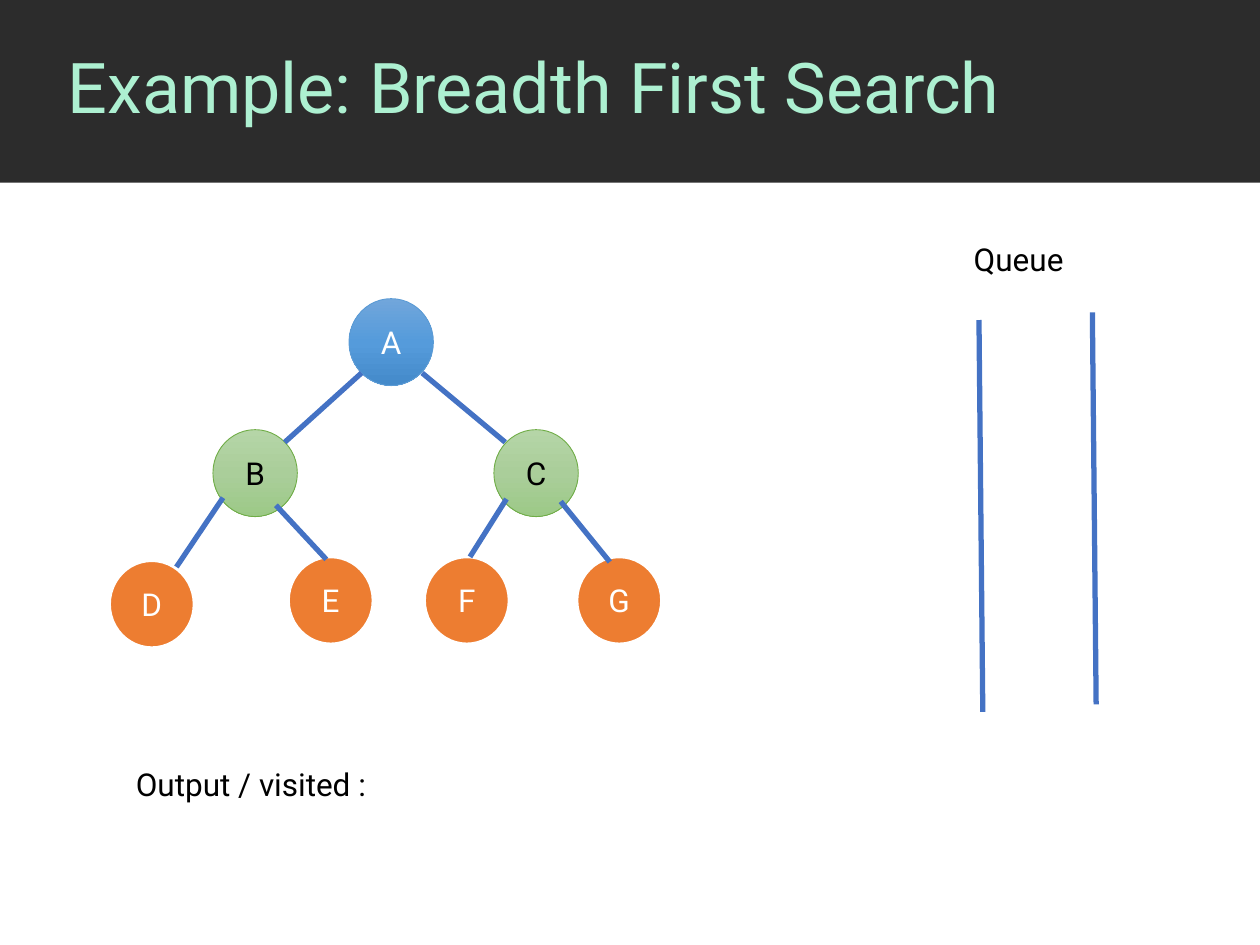
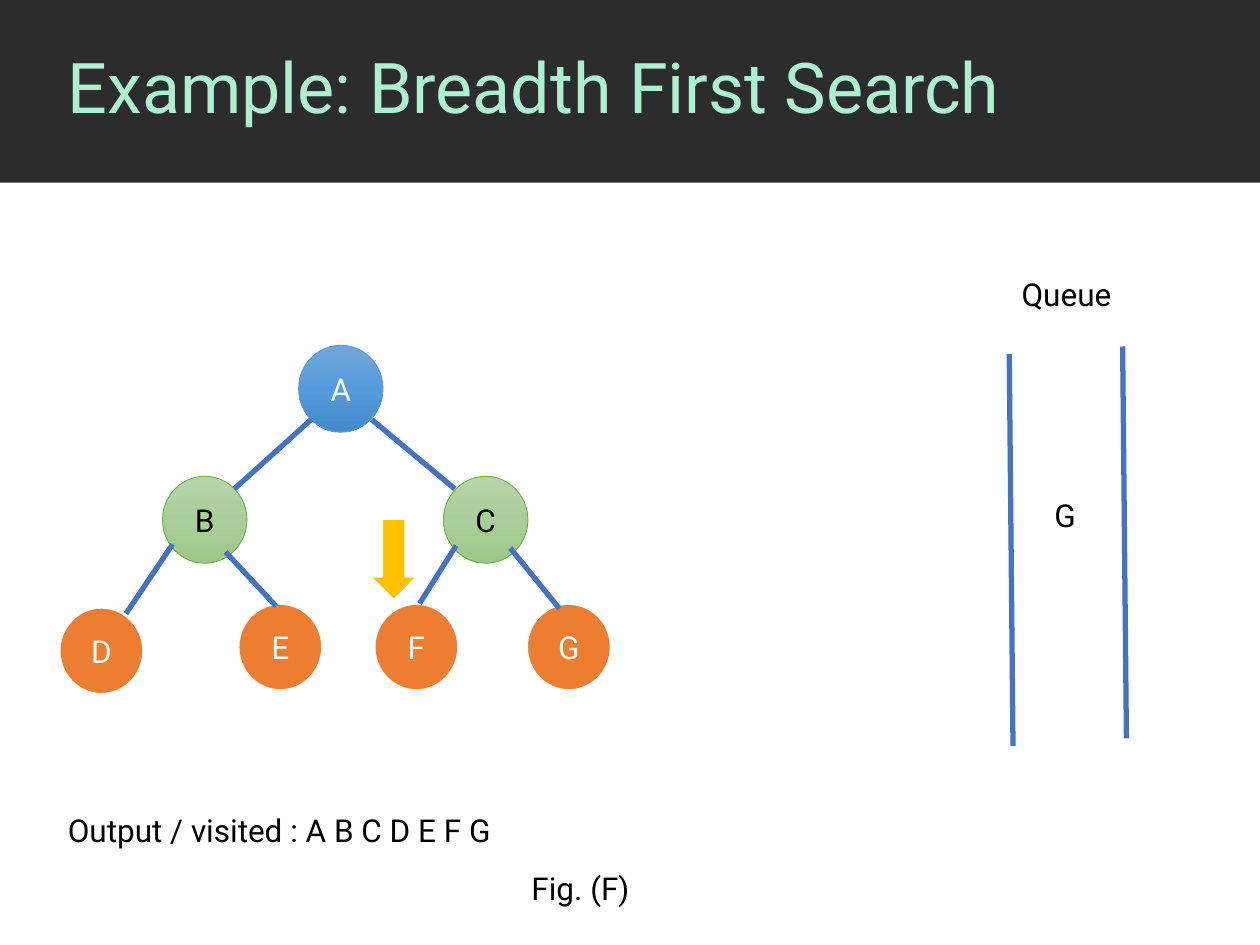
"""Build two slides that walk through a breadth first search."""
from copy import deepcopy

from lxml import etree
from pptx import Presentation
from pptx.dml.color import RGBColor
from pptx.enum.shapes import MSO_CONNECTOR, MSO_SHAPE
from pptx.enum.text import MSO_ANCHOR, PP_ALIGN
from pptx.oxml.ns import qn
from pptx.util import Inches, Pt

RECTANGLE = MSO_SHAPE.RECTANGLE
OVAL = MSO_SHAPE.OVAL
RIGHT_ARROW = MSO_SHAPE.RIGHT_ARROW
STRAIGHT = MSO_CONNECTOR.STRAIGHT
MIDDLE, TOP = MSO_ANCHOR.MIDDLE, MSO_ANCHOR.TOP
LEFT, CENTER = PP_ALIGN.LEFT, PP_ALIGN.CENTER

FONT = "Roboto"
COLORS = {
    "band": "2C2C2C",
    "title": "ADF0D1",
    "black": "000000",
    "white": "FFFFFF",
    "edge": "4472C4",
    "leaf": "ED7D31",
    "pointer": "FFC000",
    "root line": "5B9BD5",
    "inner line": "70AD47",
}
GRADIENTS = {
    "root": ("71A6DB", "559BDB", "448ACA"),
    "inner": ("B5D5A7", "AACE9A", "9CC987"),
}
LEVELS = {
    "root": ("root line", 0.5, "white"),
    "inner": ("inner line", 0.5, "black"),
    "leaf": ("white", 1.5, "white"),
}
NODE_WIDTH, NODE_HEIGHT = 0.67, 0.69
NODES = [
    ("B", "inner", 0.82, 1.04),
    ("A", "root", 1.9, 0),
    ("G", "leaf", 3.71, 2.05),
    ("F", "leaf", 2.5, 2.05),
    ("E", "leaf", 1.42, 2.05),
    ("D", "leaf", 0, 2.08),
    ("C", "inner", 3.05, 1.04),
]
EDGES = [
    (2, 0.59, 1.39, 1.14),
    (3.14, 1.14, 2.48, 0.59),
    (1.72, 2.07, 1.32, 1.64),
    (3.97, 2.09, 3.58, 1.61),
    (3.15, 1.59, 2.86, 2.05),
    (0.9, 1.58, 0.53, 2.13),
]
QUEUE_RAILS = [(0, 0.06, 0.03, 3.17), (0.9, 0, 0.93, 3.11)]


def rgb(name):
    """Return the colour with this name."""
    return RGBColor.from_string(COLORS[name])


class SlideBuilder:
    """Hold the deck style and draw on the current page."""

    def __init__(self):
        """Start an empty deck."""
        self.deck = Presentation()
        self.deck.slide_width = Inches(10)
        self.deck.slide_height = Inches(7.5)
        self.page = None

    def new_page(self, title):
        """Add a page with the dark band and its title."""
        self.page = self.deck.slides.add_slide(self.deck.slide_layouts[6])
        self.shape(RECTANGLE, 0, 0, 10, 1.45, "band")
        box = self.text(title, 0.44, 0, 9.56, 1.44, 40, "title", MIDDLE)
        box.text_frame.paragraphs[0].line_spacing = 0.9

    def add_span(self, box, text, size, color, anchor, align):
        """Put one styled run in a box."""
        frame = box.text_frame
        frame.word_wrap = True
        frame.vertical_anchor = anchor
        para = frame.paragraphs[0]
        para.alignment = align
        span = para.add_run()
        span.text = text
        span.font.name = FONT
        span.font.size = Pt(size)
        span.font.color.rgb = rgb(color)

    def text(self, text, left, top, width, height=0.4, size=18, color="black", anchor=TOP):
        """Add a text box."""
        box = self.page.shapes.add_textbox(*map(Inches, (left, top, width, height)))
        self.add_span(box, text, size, color, anchor, LEFT)
        return box

    def shape(self, kind, left, top, width, height, fill, line=None, weight=1.5):
        """Add a flat or gradient filled shape."""
        shape = self.page.shapes.add_shape(kind, *map(Inches, (left, top, width, height)))
        shape.shadow.inherit = False
        if fill in GRADIENTS:
            self.gradient(shape, GRADIENTS[fill])
        else:
            shape.fill.solid()
            shape.fill.fore_color.rgb = rgb(fill)
        if line:
            shape.line.color.rgb = rgb(line)
            shape.line.width = Pt(weight)
        else:
            shape.line.fill.background()
        return shape

    def gradient(self, shape, stops):
        """Fill a shape from top to bottom with three colours."""
        shape.fill.gradient()
        shape.fill.gradient_angle = 270
        stop_list = next(shape._element.spPr.iter(qn("a:gsLst")))
        stop_list.insert(1, deepcopy(stop_list[0]))
        for index, (stop, color) in enumerate(zip(shape.fill.gradient_stops, stops)):
            stop.position = index / 2
            stop.color.rgb = RGBColor.from_string(color)

    def line(self, start_x, start_y, end_x, end_y):
        """Add a straight blue line."""
        ends = map(Inches, (start_x, start_y, end_x, end_y))
        line = self.page.shapes.add_connector(STRAIGHT, *ends)
        line.line.color.rgb = rgb("edge")
        line.line.width = Pt(3)
        etree.SubElement(line._element.spPr, qn("a:effectLst"))

    def lines(self, left, top, segments):
        """Add lines given relative to a corner."""
        for start_x, start_y, end_x, end_y in segments:
            self.line(left + start_x, top + start_y, left + end_x, top + end_y)

    def tree(self, left, top):
        """Draw the search tree from its upper left corner."""
        for label, level, across, down in NODES:
            line, weight, color = LEVELS[level]
            node = self.shape(OVAL, left + across, top + down, NODE_WIDTH, NODE_HEIGHT,
                              level, line, weight)
            self.add_span(node, label, 18, color, MIDDLE, CENTER)
        self.lines(left, top, EDGES)

    def queue(self, left, top, label_left):
        """Draw the two rails of the queue and its label."""
        self.lines(left, top, QUEUE_RAILS)
        self.text("Queue", label_left, top - 0.62, 1.13)

    def pointer(self, left, top, width, height):
        """Add an arrow that points down at the current node."""
        self.shape(RIGHT_ARROW, left, top, width, height, "pointer", "white").rotation = 90


def main():
    """Build both slides and save the deck."""
    title = "Example: Breadth First Search"
    builder = SlideBuilder()

    builder.new_page(title)
    builder.tree(0.87, 2.37)
    builder.queue(7.77, 2.48, 7.63)
    builder.text("Output / visited :", 0.98, 6.02, 2.2)

    builder.new_page(title)
    builder.tree(0.47, 2.74)
    builder.queue(8.01, 2.75, 8.01)
    builder.text("Output / visited : A B C D E F G", 0.44, 6.39, 5.2)
    builder.text("G", 8.27, 3.89, 0.4)
    builder.pointer(2.8, 4.25, 0.65, 0.38)
    builder.text("Fig. (F)", 4.12, 6.85, 1.13)

    builder.deck.save("out.pptx")


if __name__ == "__main__":
    main()
